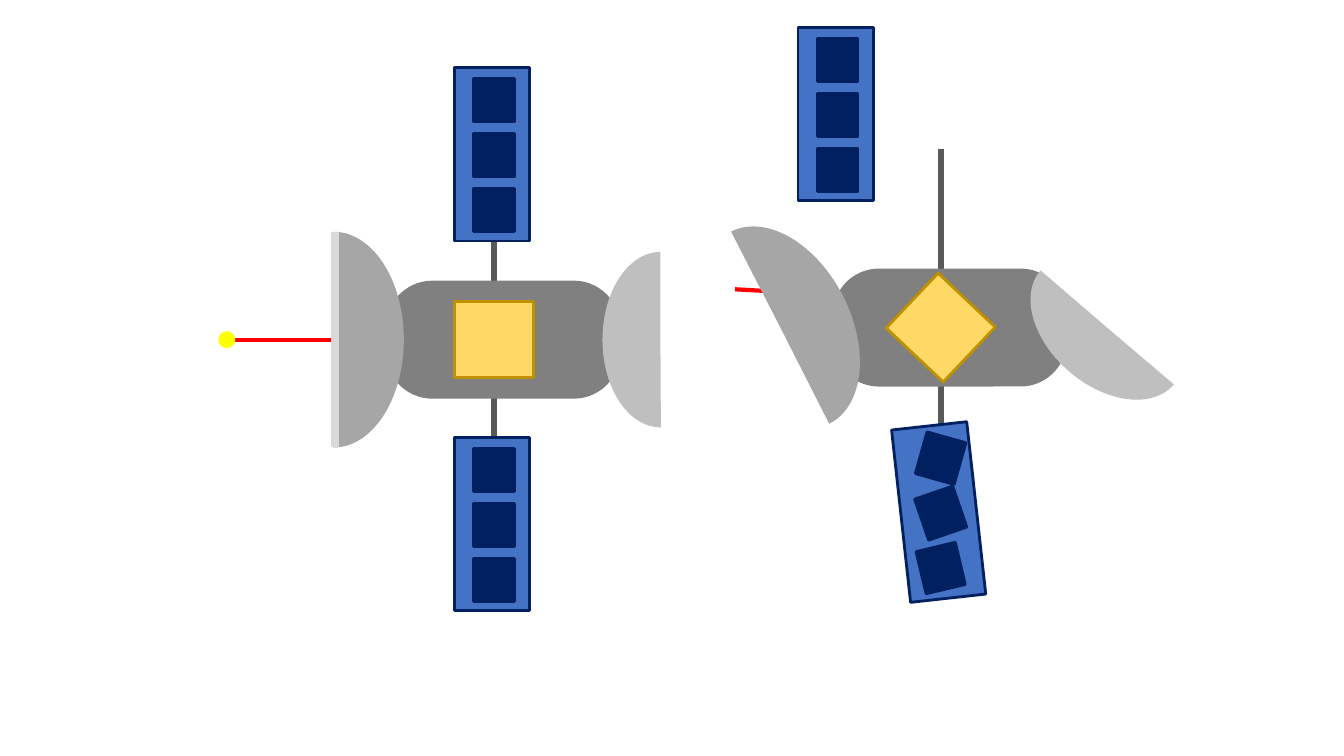
from lxml import etree
from pptx import Presentation
from pptx.dml.color import RGBColor
from pptx.enum.shapes import MSO_CONNECTOR as Connector, MSO_SHAPE as Preset
from pptx.oxml.ns import qn
from pptx.util import Inches, Pt

CELL_PITCH = 0.545
HALF_DISC = (53.819, 162)


def colour(value):
    return RGBColor.from_string(value)


def add_line(group, start, end, line_colour, width):
    ends = [Inches(value) for value in (*start, *end)]
    line = group.shapes.add_connector(Connector.STRAIGHT, *ends)
    line.line.color.rgb = colour(line_colour)
    line.line.width = Pt(width)
    etree.SubElement(line._element.spPr, qn("a:effectLst"))


def add_part(group, preset, centre, size, fill, outline=None, turn=0, adjustments=()):
    (x, y), (width, height) = centre, size
    part = group.shapes.add_shape(
        preset, Inches(x - width / 2), Inches(y - height / 2), Inches(width), Inches(height)
    )
    part.shadow.inherit = False
    part.rotation = turn
    part.fill.solid()
    part.fill.fore_color.rgb = colour(fill)
    if outline:
        part.line.color.rgb = colour(outline)
        part.line.width = Pt(2)
    else:
        part.line.fill.background()
    for index, value in enumerate(adjustments):
        part.adjustments[index] = value
    return part


def add_panel(group, x, y, turn=270, cell_turns=(270, 270, 270)):
    add_part(group, Preset.RECTANGLE, (x, y), (1.72, 0.75), "4472C4", "002060", turn)
    for row, cell_turn in enumerate(cell_turns):
        centre = (x + 0.02, y + 0.01 + (row - 1) * CELL_PITCH)
        add_part(group, Preset.RECTANGLE, centre, (0.43, 0.4), "002060", "002060", cell_turn)


def add_satellite(group, x, y, beam, right_turn=0, left_turn=0, hatch_turn=0):
    add_line(group, (x - 0.09, y - 1.77), (x - 0.09, y + 1.79), "595959", 4.5)
    add_line(group, *beam, "FF0000", 3)
    add_part(group, Preset.ROUNDED_RECTANGLE, (x, y), (2.32, 1.17), "808080",
             adjustments=[0.391])
    add_part(group, Preset.PIE, (x + 1.56, y), (1.15, 1.74), "BFBFBF",
             turn=right_turn, adjustments=HALF_DISC)
    left_dish = add_part(group, Preset.PIE, (x - 1.68, y), (1.39, 2.14), "A6A6A6",
                         turn=left_turn, adjustments=HALF_DISC)
    left_dish._element.spPr.xfrm.set("flipH", "1")
    add_part(group, Preset.RECTANGLE, (x - 0.09, y), (0.78, 0.75), "FFD966", "BF9000",
             hatch_turn)


def main():
    deck = Presentation()
    deck.slide_width, deck.slide_height = Inches(13.33), Inches(7.5)
    page = deck.slides.add_slide(deck.slide_layouts[6])

    intact = page.shapes.add_group_shape()
    add_satellite(intact, 4.99, 3.37, beam=((2.33, 3.37), (4.01, 3.37)))
    add_line(intact, (3.32, 2.3), (3.32, 4.43), "D9D9D9", 6)
    add_part(intact, Preset.OVAL, (2.25, 3.37), (0.17, 0.17), "FFFF00")
    for panel_y in (1.53, 5.2):
        add_panel(intact, 4.88, panel_y)

    damaged = page.shapes.add_group_shape()
    add_satellite(damaged, 9.42, 3.25, beam=((7.29, 2.87), (8.36, 2.93)),
                  right_turn=310.7, left_turn=332.8, hatch_turn=43.4)
    add_panel(damaged, 9.31, 5.08, 263.7, (285.7, 251, 256.6))

    detached = page.shapes.add_group_shape()
    add_panel(detached, 8.29, 1.13)

    deck.save("out.pptx")


if __name__ == "__main__":
    main()
